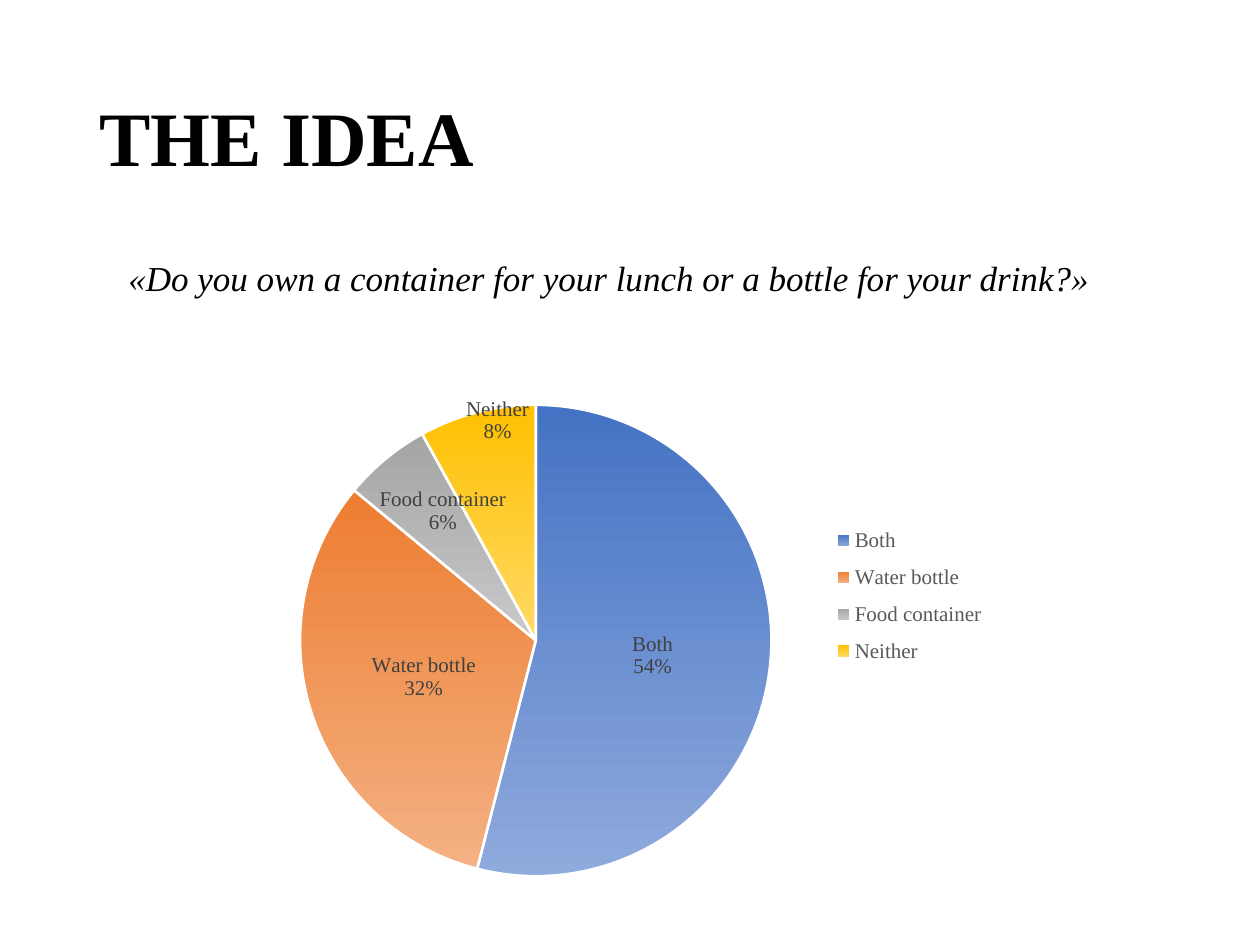
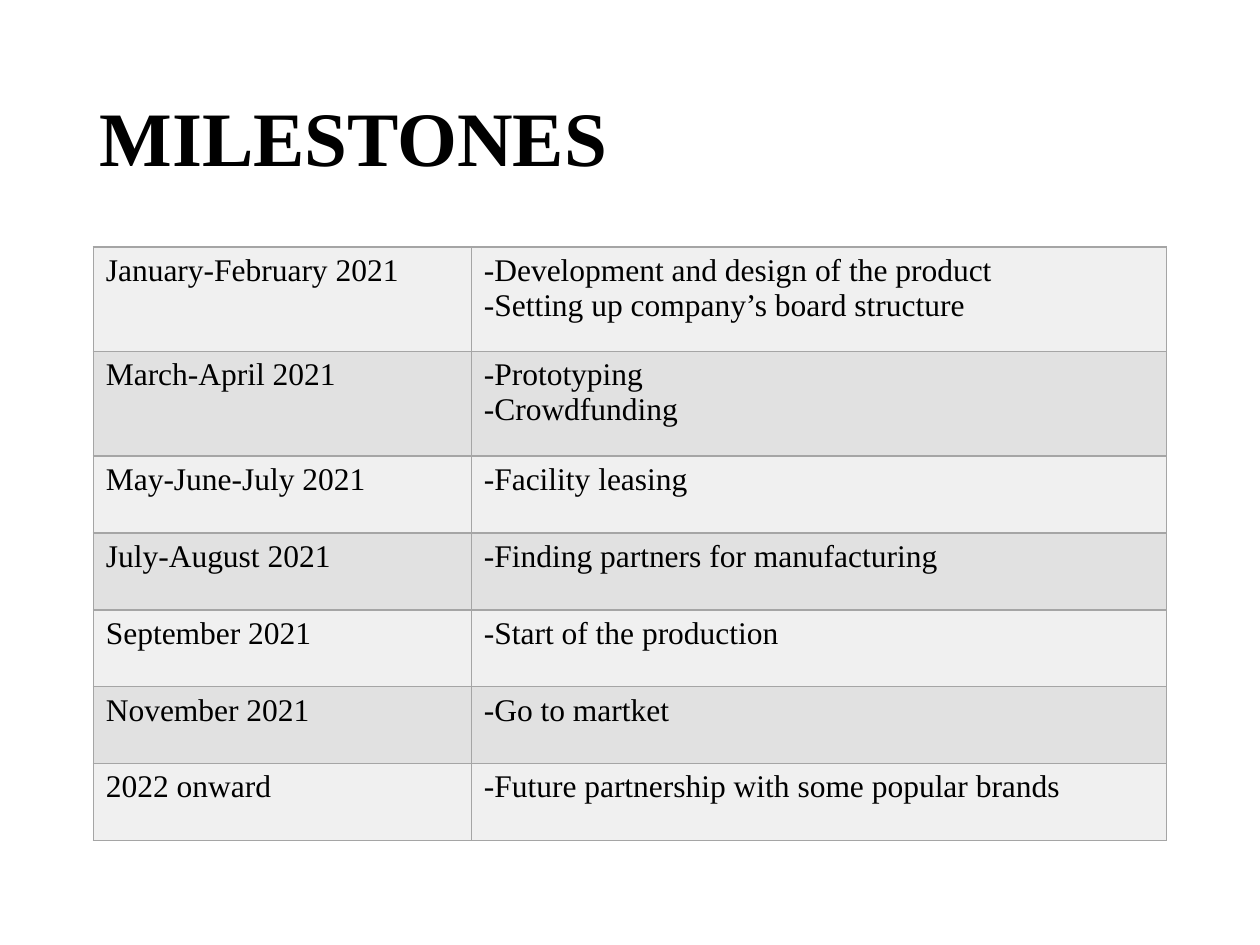
from copy import deepcopy
from pptx import Presentation
from pptx.chart.data import CategoryChartData
from pptx.dml.color import RGBColor
from pptx.enum.chart import XL_CHART_TYPE, XL_LABEL_POSITION, XL_LEGEND_POSITION
from pptx.enum.text import MSO_ANCHOR, PP_ALIGN
from pptx.oxml import parse_xml
from pptx.oxml.ns import nsdecls, qn
from pptx.util import Inches, Pt

FONT = "Times New Roman"
BLACK, WHITE = "000000", "FFFFFF"
TITLE_FORMAT = {"size": Pt(44), "bold": True}
QUESTION_FORMAT = {"size": Pt(20), "italic": True}
CELL_FORMAT = {"size": Pt(18)}
CHART_FORMAT = {"size": Pt(12)}
LEGEND_COLOR, LABEL_COLOR = "595959", "404040"
BORDER_COLOR = "A5A5A5"
BAND_COLORS = ["F0F0F0", "E1E1E1"]

QUESTION = "«Do you own a container for your lunch or a bottle for your drink?»"
ANSWERS = [
    ("Both", 54, "4472C4", "8FAADC"),
    ("Water bottle", 32, "ED7D31", "F4B183"),
    ("Food container", 6, "A5A5A5", "C9C9C9"),
    ("Neither", 8, "FFC000", "FFD966"),
]
LABEL_SHIFTS = {2: {"x": -0.02, "y": -0.07}, 3: {"x": -0.01, "y": -0.19}}
PIE_AREA = {"x": 0.19, "y": 0.12, "w": 0.53, "h": 0.85}
LEGEND_AREA = {"x": 0.78, "y": 0.32, "w": 0.19, "h": 0.29}

MILESTONES = [
    ("January-February 2021", ["-Development and design of the product",
                               "-Setting up company’s board structure"]),
    ("March-April 2021", ["-Prototyping", "-Crowdfunding"]),
    ("May-June-July 2021", ["-Facility leasing"]),
    ("July-August 2021", ["-Finding partners for manufacturing"]),
    ("September 2021", ["-Start of the production"]),
    ("November 2021", ["-Go to martket"]),
    ("2022 onward", ["-Future partnership with some popular brands"]),
]
COLUMN_WIDTHS = [3, 5.52]
ROW_HEIGHTS = {1: 0.61, 2: 0.83}


def color(hex_string):
    return RGBColor.from_string(hex_string)


def format_font(font, values, hex_string=BLACK):
    for name, value in {"name": FONT, **values}.items():
        setattr(font, name, value)
    font.color.rgb = color(hex_string)


def write_lines(text_frame, lines, values):
    text_frame.text = "\n".join(lines)
    for paragraph in text_frame.paragraphs:
        for run in paragraph.runs:
            format_font(run.font, values)


def add_titled_slide(presentation, title_text):
    slide = presentation.slides.add_slide(presentation.slide_layouts[5])
    title = slide.shapes.title
    title.left, title.top, title.width, title.height = map(Inches, (0.69, 0.4, 8.62, 1.45))
    title.text_frame.vertical_anchor = MSO_ANCHOR.MIDDLE
    write_lines(title.text_frame, [title_text], TITLE_FORMAT)
    paragraph = title.text_frame.paragraphs[0]
    paragraph.alignment = PP_ALIGN.LEFT
    paragraph.line_spacing = 0.9
    return slide


def manual_layout(area, fixed=False):
    modes = '<c:xMode val="edge"/><c:yMode val="edge"/>' if fixed else ""
    target = '<c:layoutTarget val="inner"/>' if area is PIE_AREA else ""
    values = "".join(f'<c:{side} val="{value}"/>' for side, value in area.items())
    return parse_xml(f'<c:layout {nsdecls("c")}><c:manualLayout>{target}{modes}{values}'
                     "</c:manualLayout></c:layout>")


def place_part(part, position, area):
    for layout in part.findall(qn("c:layout")):
        part.remove(layout)
    part.insert(position, manual_layout(area, fixed=True))


def label_slices(chart, series):
    labels = series.data_labels
    settings = {"show_value": False, "show_category_name": True, "show_percentage": True,
                "position": XL_LABEL_POSITION.CENTER}
    for name, value in settings.items():
        setattr(labels, name, value)
    format_font(labels.font, CHART_FORMAT, LABEL_COLOR)
    group = chart.element.xpath(".//c:ser/c:dLbls")[0]
    separator = parse_xml(f'<c:separator {nsdecls("c")}>\n</c:separator>')
    group.find(qn("c:showBubbleSize")).addnext(separator)
    shared = [child for child in group if child.tag != qn("c:showLeaderLines")]
    for position, (index, shift) in enumerate(LABEL_SHIFTS.items()):
        label = parse_xml(f'<c:dLbl {nsdecls("c")}><c:idx val="{index}"/></c:dLbl>')
        label.append(manual_layout(shift))
        label.extend(deepcopy(shared))
        group.insert(position, label)


def add_answer_chart(slide):
    data = CategoryChartData()
    data.categories = [answer[0] for answer in ANSWERS]
    data.add_series("Series 1", [answer[1] for answer in ANSWERS])
    chart = slide.shapes.add_chart(XL_CHART_TYPE.PIE, Inches(1.04), Inches(2.67),
                                   Inches(7.06), Inches(4.43), data).chart
    format_font(chart.font, {"size": Pt(10)})
    chart.has_title = False
    chart.has_legend = True
    chart.legend.position = XL_LEGEND_POSITION.RIGHT
    chart.legend.include_in_layout = False
    format_font(chart.legend.font, CHART_FORMAT, LEGEND_COLOR)
    chart.plots[0].vary_by_categories = True
    series = chart.plots[0].series[0]
    for index, (_, _, *gradient) in enumerate(ANSWERS):
        slice_format = series.points[index].format
        slice_format.fill.gradient()
        slice_format.fill.gradient_angle = 270
        for stop, hex_string in zip(slice_format.fill.gradient_stops, gradient):
            stop.color.rgb = color(hex_string)
        slice_format.line.color.rgb = color(WHITE)
        slice_format.line.width = Pt(1.5)
    label_slices(chart, series)
    place_part(chart.element.xpath(".//c:plotArea")[0], 0, PIE_AREA)
    place_part(chart.element.xpath(".//c:legend")[0], 1, LEGEND_AREA)


def border_cell(cell):
    properties = cell._tc.get_or_add_tcPr()
    for position, side in enumerate(["lnL", "lnR", "lnT", "lnB"]):
        properties.insert(position, parse_xml(
            f'<a:{side} {nsdecls("a")} w="{Pt(1)}"><a:solidFill>'
            f'<a:srgbClr val="{BORDER_COLOR}"/></a:solidFill></a:{side}>'))


def add_milestone_table(slide):
    heights = [ROW_HEIGHTS[len(tasks)] for _, tasks in MILESTONES]
    table = slide.shapes.add_table(len(MILESTONES), len(COLUMN_WIDTHS), Inches(0.74), Inches(1.96),
                                   Inches(sum(COLUMN_WIDTHS)), Inches(sum(heights))).table
    table.first_row = table.horz_banding = False
    for column, width in zip(table.columns, COLUMN_WIDTHS):
        column.width = Inches(width)
    for index, (period, tasks) in enumerate(MILESTONES):
        row = table.rows[index]
        row.height = Inches(heights[index])
        for cell, lines in zip(row.cells, ([period], tasks)):
            write_lines(cell.text_frame, lines, CELL_FORMAT)
            cell.fill.solid()
            cell.fill.fore_color.rgb = color(BAND_COLORS[index % 2])
            border_cell(cell)


def main():
    presentation = Presentation()
    presentation.slide_width, presentation.slide_height = Inches(10), Inches(7.5)

    idea_slide = add_titled_slide(presentation, "THE IDEA")
    question = idea_slide.shapes.add_textbox(Inches(0.92), Inches(1.99), Inches(8.17), Inches(0.41))
    question.text_frame.word_wrap = True
    write_lines(question.text_frame, [QUESTION], QUESTION_FORMAT)
    question.text_frame.paragraphs[0].space_before = Pt(10)
    add_answer_chart(idea_slide)

    milestone_slide = add_titled_slide(presentation, "MILESTONES")
    add_milestone_table(milestone_slide)
    presentation.save("out.pptx")


if __name__ == "__main__":
    main()
